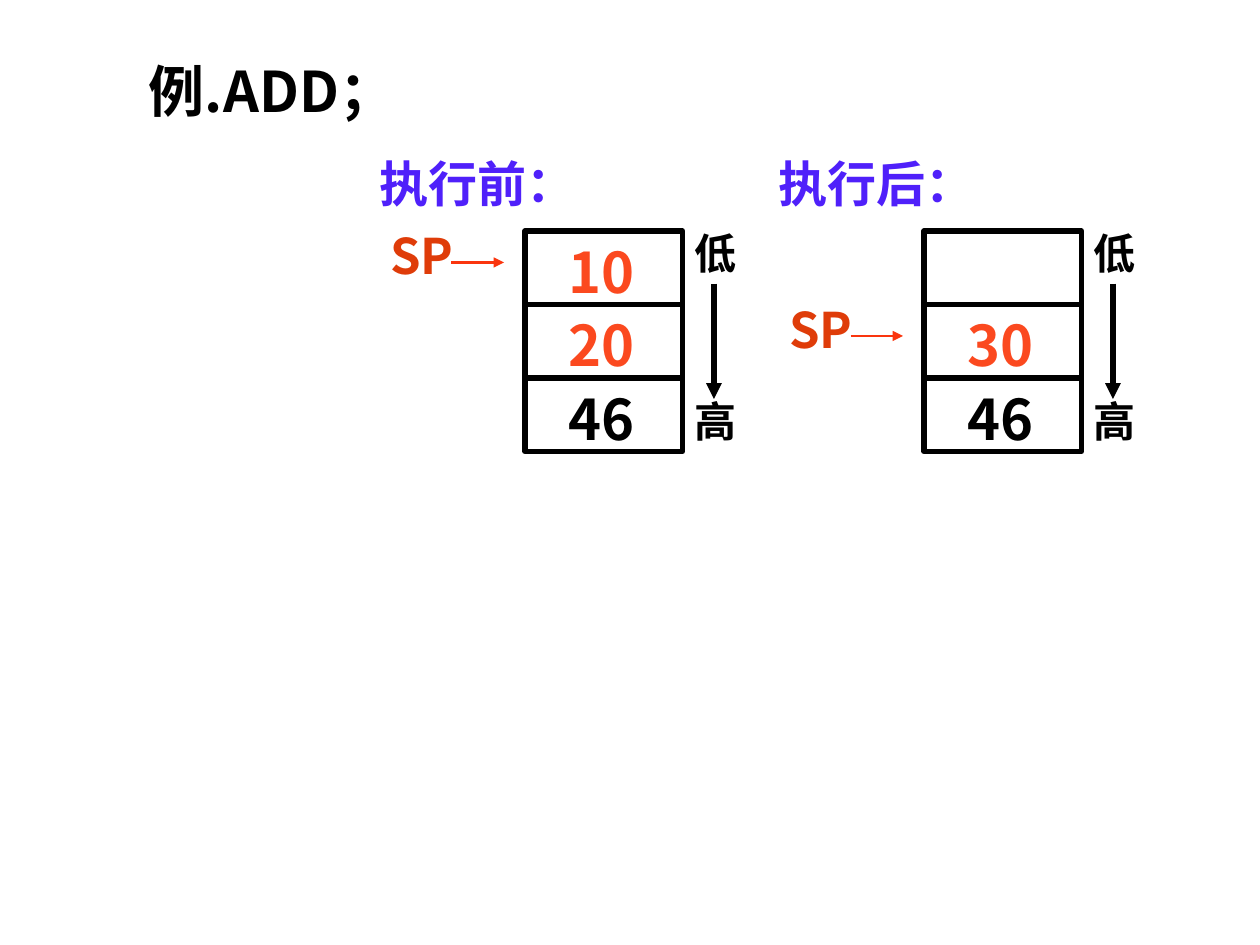
from lxml.etree import SubElement
from pptx import Presentation
from pptx.dml.color import RGBColor
from pptx.enum.shapes import MSO_CONNECTOR, MSO_SHAPE
from pptx.enum.text import MSO_ANCHOR, PP_ALIGN
from pptx.oxml.ns import qn
from pptx.util import Pt

FONT = "Noto Sans CJK SC"
color = RGBColor.from_string


def add_text(left, top, width, height, text, size, text_color, spacing=1.0, fill=None):
    shape = slide.shapes.add_textbox(Pt(left), Pt(top), Pt(width), Pt(height))
    if fill:
        shape.fill.solid()
        shape.fill.fore_color.rgb = color(fill)
    frame = shape.text_frame
    frame.word_wrap = True
    frame.vertical_anchor = MSO_ANCHOR.TOP
    paragraph = frame.paragraphs[0]
    paragraph.alignment = PP_ALIGN.LEFT
    paragraph.line_spacing = spacing
    run = paragraph.add_run()
    run.text = text
    run.font.name = FONT
    run.font.size = Pt(size)
    run.font.bold = True
    run.font.color.rgb = color(text_color)
    SubElement(run._r.get_or_add_rPr(), qn("a:ea"), typeface=FONT)


def add_line(x1, y1, x2, y2, line_color, width, arrow=False):
    connector = slide.shapes.add_connector(
        MSO_CONNECTOR.STRAIGHT, Pt(x1), Pt(y1), Pt(x2), Pt(y2))
    connector.line.color.rgb = color(line_color)
    connector.line.width = Pt(width)
    if arrow:
        SubElement(connector.line._get_or_add_ln(), qn("a:tailEnd"), type="triangle")
    SubElement(connector._element.spPr, qn("a:effectLst"))


presentation = Presentation()
presentation.slide_width = Pt(720)
presentation.slide_height = Pt(540)
slide = presentation.slides.add_slide(presentation.slide_layouts[6])

add_text(78, 36, 198, 38.4, "例.ADD；", 32, "000000", 0.8)

TOP = 132
ROW_HEIGHT = 42
STACK_WIDTH = 90
RED, BLACK = "FB491F", "000000"
stacks = [
    (300, "执行前：", 144, 0, [("10", RED), ("20", RED), ("46", BLACK)]),
    (528, "执行后：", 162, 1, [("", RED), ("30", RED), ("46", BLACK)]),
]

for left, heading, heading_width, pointer_row, values in stacks:
    right = left + STACK_WIDTH
    pointer_top = TOP + pointer_row * ROW_HEIGHT
    add_text(left - 90, 84, heading_width, 41, heading, 28, "4F20FA")
    add_text(left - 84, pointer_top, 78, 34.5, "SP", 28, "DF3C09", 0.8, "FFFFFF")
    add_line(left - 42, pointer_top + 18, left - 12, pointer_top + 18, "FA350E", 1.5, True)

    stack = slide.shapes.add_shape(
        MSO_SHAPE.RECTANGLE, Pt(left), Pt(TOP), Pt(STACK_WIDTH), Pt(3 * ROW_HEIGHT))
    stack.shadow.inherit = False
    stack.fill.solid()
    stack.fill.fore_color.rgb = color("FFFFFF")
    stack.line.color.rgb = color(BLACK)
    stack.line.width = Pt(3)

    for row, (value, value_color) in enumerate(values):
        row_top = TOP + row * ROW_HEIGHT
        if row:
            add_line(left, row_top, right, row_top, BLACK, 3)
        if value:
            add_text(left + 18, row_top, 72, 46, value, 32, value_color)

    add_text(right, TOP, 54, 30, "低", 24, BLACK, 0.8)
    add_text(right, 228, 42, 30, "高", 24, BLACK, 0.8)
    add_line(right + 18, 162, right + 18, 228, BLACK, 3, True)

presentation.save("out.pptx")
